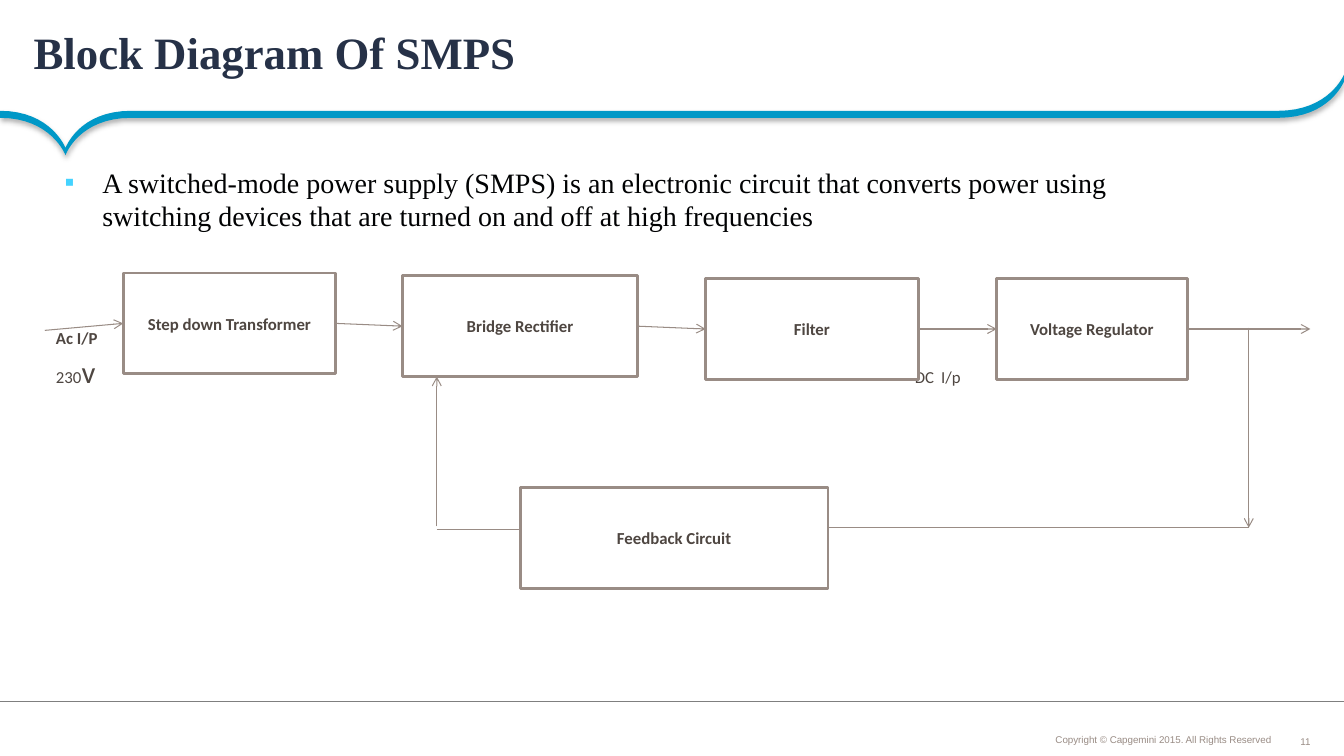
from dataclasses import dataclass
from typing import Optional

from lxml import etree
from pptx import Presentation, util as u
from pptx.dml.color import RGBColor
from pptx.enum import shapes, text
from pptx.oxml.ns import qn

SANS, SERIF, SMALL = "Calibri", "Times New Roman", "Arial"
BROWN, INK, BLUE = "998C85", "4E4641", "0098C7"
ALIGN, ANCHOR = text.PP_ALIGN, text.MSO_ANCHOR
TOP, LEFT, BOTTOM, RIGHT = range(4)


@dataclass
class Block:
    label: str
    left: float
    top: float
    width: float
    height: float = 72


@dataclass
class Wire:
    """A straight line; a named block and side override the matching end point."""
    start: tuple[float, float] = (0, 0)
    end: tuple[float, float] = (0, 0)
    source: Optional[tuple[str, int]] = None
    target: Optional[tuple[str, int]] = None
    arrow: bool = True
    color: str = BROWN


@dataclass
class Span:
    words: str
    size: float
    font: str = SANS
    color: str = INK
    bold: bool = False


@dataclass
class Label:
    area: tuple[float, float, float, float]
    lines: list[list[Span]]
    insets: tuple[float, float, float, float] = (0, 0, 0, 0)
    anchor: ANCHOR = ANCHOR.TOP
    align: ALIGN = ALIGN.LEFT
    spacing: float = 1.0
    after: float = 0
    bullet: Optional[str] = None
    wrap: bool = True


BLOCKS = [
    Block("Step down Transformer", 88, 195, 152),
    Block("Bridge Rectifier", 287.5, 197, 168),
    Block("Filter", 504, 199, 152),
    Block("Voltage Regulator", 712, 199, 136),
    Block("Feedback Circuit", 371.5, 348.5, 220),
]
CHAIN = [block.label for block in BLOCKS[:4]]
WIRES = [
    Wire(start=(32, 236), target=(CHAIN[0], LEFT)),
    *(Wire(source=(a, RIGHT), target=(b, LEFT)) for a, b in zip(CHAIN, CHAIN[1:])),
    Wire(source=(CHAIN[-1], RIGHT), end=(936, 235)),
    Wire((892, 234), (892, 377)),
    Wire((591.5, 377), (892, 377), arrow=False),
    Wire((312, 378), (371.5, 378), arrow=False),
    Wire((312, 376), (312, 269)),
]
FOOTER_RULE = Wire((960, 501), (0, 501), arrow=False, color="7F7F7F")

FOOTER_LABELS = [
    Label((928, 525, 9, 9), [[Span("11", 7, SMALL, BROWN)]],
          anchor=ANCHOR.MIDDLE, align=ALIGN.CENTER, wrap=False),
    Label((653, 521, 258, 14.4), [[Span("Copyright © Capgemini 2015. All Rights Reserved", 7, SMALL, BROWN)]],
          (3, 3, 3, 3), ANCHOR.BOTTOM, ALIGN.RIGHT, 0.9),
]
CONTENT_LABELS = [
    Label((0, 0, 960, 79), [[Span("Block Diagram Of SMPS", 32, SERIF, "263147", True)]],
          (24, 3, 13, 3), ANCHOR.MIDDLE, spacing=0.85),
    Label((39, 114.5, 831.5, 55.5), [[Span(
        "A switched-mode power supply (SMPS) is an electronic circuit that converts power using "
        "switching devices that are turned on and off at high frequencies", 20, SERIF, "010203")]],
          (7.2, 3.6, 7.2, 3.6), bullet="▪"),
    Label((40, 236, 47, 46), [[Span("Ac I/P", 12, bold=True)], [Span("230", 12), Span("v", 22)]],
          spacing=0.9, after=6),
    Label((653.5, 255, 50, 27), [[Span("DC", 12), Span(" ", 22), Span("I/p", 12)]], spacing=0.9),
]

# Each piece is a cubic curve (two controls and an end) or a straight run (an end only).
RIBBON_START = (913, 79.2)
RIBBON = [
    [(93.6, 79.2)],
    [(56.2, 79.2), (46.8, 105.8), (46.8, 105.8)],
    [(46.8, 105.8), (36.7, 79.2), (0, 79.2)],
    [(0, 84.2)],
    [(36.7, 84.2), (46.8, 110.9), (46.8, 110.9)],
    [(46.8, 110.9), (56.2, 84.2), (93.6, 84.2)],
    [(913, 84.2)],
    [(949.7, 84.2), (960, 58.3), (960, 58.3)],
    [(960, 53.3)],
    [(960, 53.3), (949.7, 79.2), (913, 79.2)],
]


def rgb(value: str) -> RGBColor:
    return RGBColor.from_string(value)


def add_xml(parent, tag: str, **attributes):
    return etree.SubElement(parent, qn(tag), attributes)


def write_lines(frame, label: Label) -> None:
    sides = ("margin_left", "margin_top", "margin_right", "margin_bottom")
    layout = dict(zip(sides, map(u.Pt, label.insets)), word_wrap=label.wrap, vertical_anchor=label.anchor)
    for name, value in layout.items():
        setattr(frame, name, value)
    for index, spans in enumerate(label.lines):
        para = frame.add_paragraph() if index else frame.paragraphs[0]
        formats = {"alignment": label.align, "line_spacing": label.spacing, "space_after": u.Pt(label.after)}
        for name, value in formats.items():
            setattr(para, name, value)
        if label.bullet:
            props = para._p.get_or_add_pPr()
            props.set("marL", str(u.Pt(27)))
            props.set("indent", str(u.Pt(-27)))
            add_xml(add_xml(props, "a:buClr"), "a:srgbClr", val="44D3FF")
            add_xml(props, "a:buFont", typeface=SMALL)
            add_xml(props, "a:buChar", char=label.bullet)
        for span in spans:
            run = para.add_run()
            run.text = span.words
            for name, value in {"name": span.font, "size": u.Pt(span.size), "bold": span.bold}.items():
                setattr(run.font, name, value)
            run.font.color.rgb = rgb(span.color)


def draw_label(page, label: Label) -> None:
    box = page.shapes.add_textbox(*map(u.Pt, label.area))
    write_lines(box.text_frame, label)


def draw_block(page, block: Block):
    area = (block.left, block.top, block.width, block.height)
    box = page.shapes.add_shape(shapes.MSO_SHAPE.RECTANGLE, *map(u.Pt, area))
    box.shadow.inherit = False
    box.fill.solid()
    box.fill.fore_color.rgb = rgb("FFFFFF")
    box.line.color.rgb = rgb(BROWN)
    box.line.width = u.Pt(2)
    write_lines(box.text_frame, Label(area, [[Span(block.label, 12, bold=True)]], (7.2, 3.6, 7.2, 3.6),
                                      ANCHOR.MIDDLE, ALIGN.CENTER))
    return box


def draw_wire(page, wire: Wire, boxes: dict) -> None:
    line = page.shapes.add_connector(shapes.MSO_CONNECTOR.STRAIGHT, *map(u.Pt, wire.start + wire.end))
    if wire.source:
        line.begin_connect(boxes[wire.source[0]], wire.source[1])
    if wire.target:
        line.end_connect(boxes[wire.target[0]], wire.target[1])
    line.line.color.rgb = rgb(wire.color)
    line.line.width = u.Pt(0.75)
    if wire.arrow:
        add_xml(line.line._get_or_add_ln(), "a:tailEnd", type="arrow")
    add_xml(line._element.spPr, "a:effectLst")


def draw_ribbon(page, steps: int = 16) -> None:
    points = [RIBBON_START]
    for piece in RIBBON:
        if len(piece) == 1:
            points += piece
            continue
        corners = [points[-1], *piece]
        for step in range(1, steps + 1):
            t = step / steps
            weights = ((1 - t) ** 3, 3 * t * (1 - t) ** 2, 3 * t ** 2 * (1 - t), t ** 3)
            points.append(tuple(sum(w * c[axis] for w, c in zip(weights, corners)) for axis in (0, 1)))
    outline = page.shapes.build_freeform(*map(u.Pt, points[0]))
    outline.add_line_segments([(u.Pt(x), u.Pt(y)) for x, y in points[1:]], close=True)
    ribbon = outline.convert_to_shape()
    ribbon.fill.solid()
    ribbon.fill.fore_color.rgb = rgb(BLUE)
    ribbon.line.fill.background()
    effects = add_xml(ribbon._element.spPr, "a:effectLst")
    shadow = add_xml(effects, "a:outerShdw", blurRad=str(u.Pt(4)), dist=str(u.Pt(2)), dir="5400000")
    add_xml(add_xml(shadow, "a:srgbClr", val="000000"), "a:alpha", val="31000")


def main() -> None:
    deck = Presentation()
    deck.slide_width, deck.slide_height = u.Pt(960), u.Pt(540)
    page = deck.slides.add_slide(deck.slide_layouts[6])
    draw_ribbon(page)
    draw_wire(page, FOOTER_RULE, {})
    for label in FOOTER_LABELS + CONTENT_LABELS:
        draw_label(page, label)
    boxes = {block.label: draw_block(page, block) for block in BLOCKS}
    for wire in WIRES:
        draw_wire(page, wire, boxes)
    deck.save("out.pptx")


if __name__ == "__main__":
    main()
